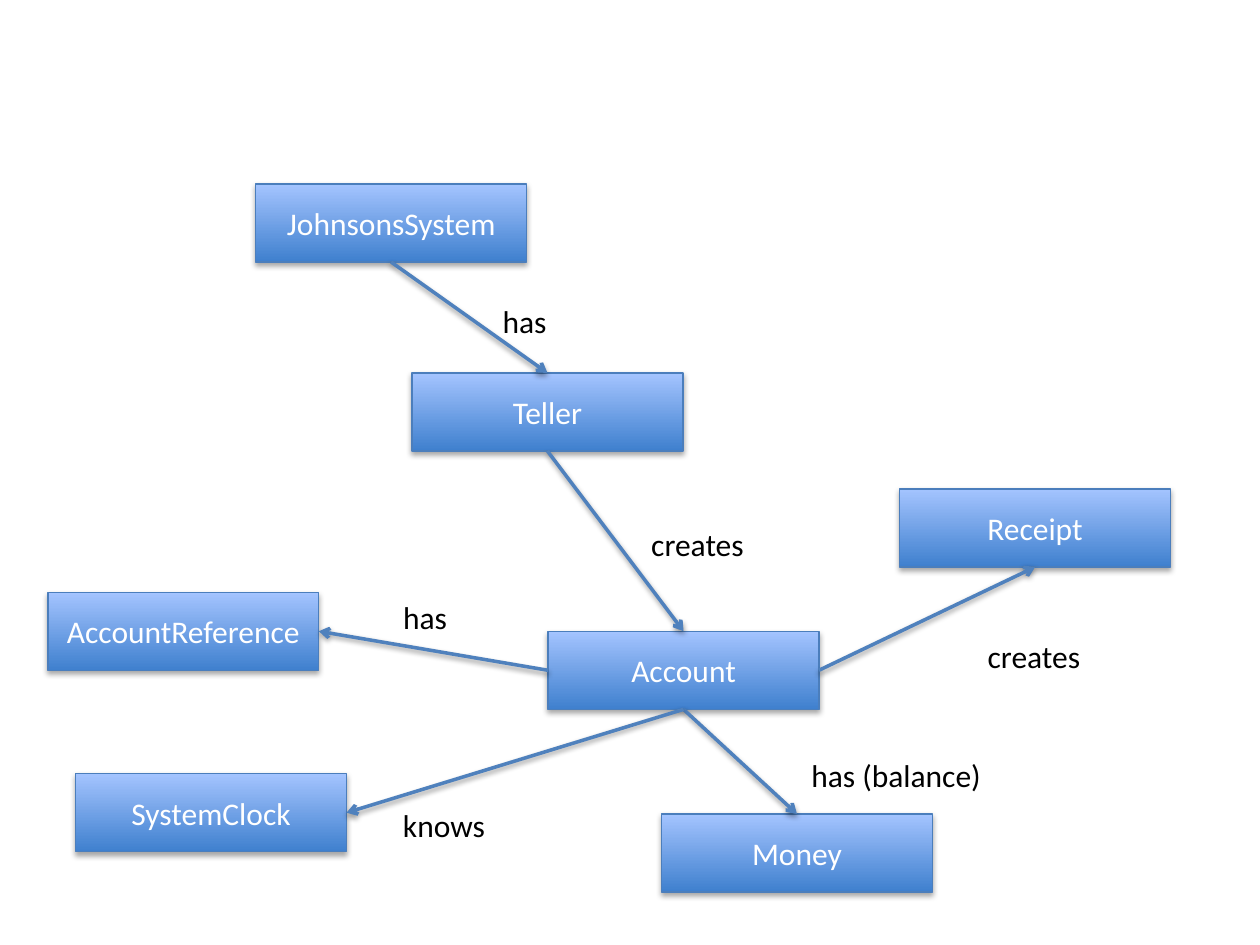
from lxml import etree
from pptx import Presentation
from pptx.dml.color import RGBColor
from pptx.enum.shapes import MSO_CONNECTOR, MSO_SHAPE
from pptx.enum.text import MSO_ANCHOR, MSO_AUTO_SIZE, PP_ALIGN
from pptx.oxml.ns import qn
from pptx.util import Inches, Pt

STRAIGHT = MSO_CONNECTOR.STRAIGHT
RECTANGLE = MSO_SHAPE.RECTANGLE
MIDDLE = MSO_ANCHOR.MIDDLE
FIT_SHAPE = MSO_AUTO_SIZE.SHAPE_TO_FIT_TEXT
CENTER = PP_ALIGN.CENTER

TOP, LEFT, BOTTOM, RIGHT = range(4)  # connection sites of a rectangle
BOX_WIDTH, BOX_HEIGHT, LABEL_HEIGHT = 2.15, 0.62, 0.4

# Class name: left, top
CLASSES = {
    "JohnsonsSystem": (2.03, 1.46),
    "Account": (4.35, 5.01),
    "Receipt": (7.14, 3.88),
    "Money": (5.25, 6.46),
    "AccountReference": (0.38, 4.7),
    "SystemClock": (0.6, 6.14),
    "Teller": (3.27, 2.96),
}

# Start class, start site, end class, end site, label, label left, top, width
RELATIONS = [
    ("JohnsonsSystem", BOTTOM, "Teller", TOP, "has", 3.89, 2.35, 0.55),
    ("Teller", BOTTOM, "Account", TOP, "creates", 5.07, 4.12, 0.95),
    ("Account", LEFT, "AccountReference", RIGHT, "has", 3.1, 4.7, 0.55),
    ("Account", RIGHT, "Receipt", BOTTOM, "creates", 7.74, 5.01, 0.95),
    ("Account", BOTTOM, "Money", TOP, "has (balance)", 6.34, 5.95, 1.59),
    ("Account", BOTTOM, "SystemClock", RIGHT, "knows", 3.1, 6.35, 0.86),
]


def color(value):
    """Turn a hex string into a colour."""
    return RGBColor.from_string(value)


def set_shadow(shape, distance, opacity):
    """Give a shape a soft black shadow straight below it."""
    properties = shape._element.spPr
    for old in properties.findall(qn("a:effectLst")):
        properties.remove(old)
    effects = etree.SubElement(properties, qn("a:effectLst"))
    shadow = etree.SubElement(effects, qn("a:outerShdw"), blurRad=str(Pt(3.15)),
                              dist=str(Pt(distance)), dir="5400000", rotWithShape="0")
    black = etree.SubElement(shadow, qn("a:srgbClr"), val="000000")
    etree.SubElement(black, qn("a:alpha"), val=str(opacity * 1000))


def write(frame, text, text_color):
    """Put one paragraph of slide text into a frame."""
    para = frame.paragraphs[0]
    para.text = text
    para.font.name = "Calibri"
    para.font.size = Pt(18)
    para.font.color.rgb = color(text_color)
    return para


def add_class(page, name, left, top):
    """Draw one class box."""
    box = page.shapes.add_shape(RECTANGLE, Inches(left), Inches(top),
                                Inches(BOX_WIDTH), Inches(BOX_HEIGHT))
    box.fill.gradient()
    box.fill.gradient_angle = 90
    for stop, (position, shade) in zip(box.fill.gradient_stops,
                                       [(0, "3F80CE"), (1, "A4C4FF")]):
        stop.position = position
        stop.color.rgb = color(shade)
    box.line.color.rgb = color("4B7EBC")
    box.line.width = Pt(0.75)
    set_shadow(box, 1.8, 35)
    box.text_frame.vertical_anchor = MIDDLE
    write(box.text_frame, name, "FFFFFF").alignment = CENTER
    return box


def add_arrow(page, start, start_site, end, end_site):
    """Connect two class boxes with an arrow."""
    arrow = page.shapes.add_connector(STRAIGHT, 0, 0, 0, 0)
    arrow.begin_connect(start, start_site)
    arrow.end_connect(end, end_site)
    arrow.line.color.rgb = color("4F81BD")
    arrow.line.width = Pt(2)
    etree.SubElement(arrow.line._get_or_add_ln(), qn("a:tailEnd"), type="arrow")
    set_shadow(arrow, 1.6, 38)


def add_label(page, text, left, top, width):
    """Write the name of a relation."""
    label = page.shapes.add_textbox(Inches(left), Inches(top),
                                    Inches(width), Inches(LABEL_HEIGHT))
    label.text_frame.word_wrap = False
    label.text_frame.auto_size = FIT_SHAPE
    write(label.text_frame, text, "000000")


deck = Presentation()
deck.slide_width, deck.slide_height = Inches(10), Inches(7.5)
page = deck.slides.add_slide(deck.slide_layouts[6])

boxes = {name: add_class(page, name, *place) for name, place in CLASSES.items()}
for start, start_site, end, end_site, *label in RELATIONS:
    add_arrow(page, boxes[start], start_site, boxes[end], end_site)
    add_label(page, *label)

deck.save("out.pptx")
